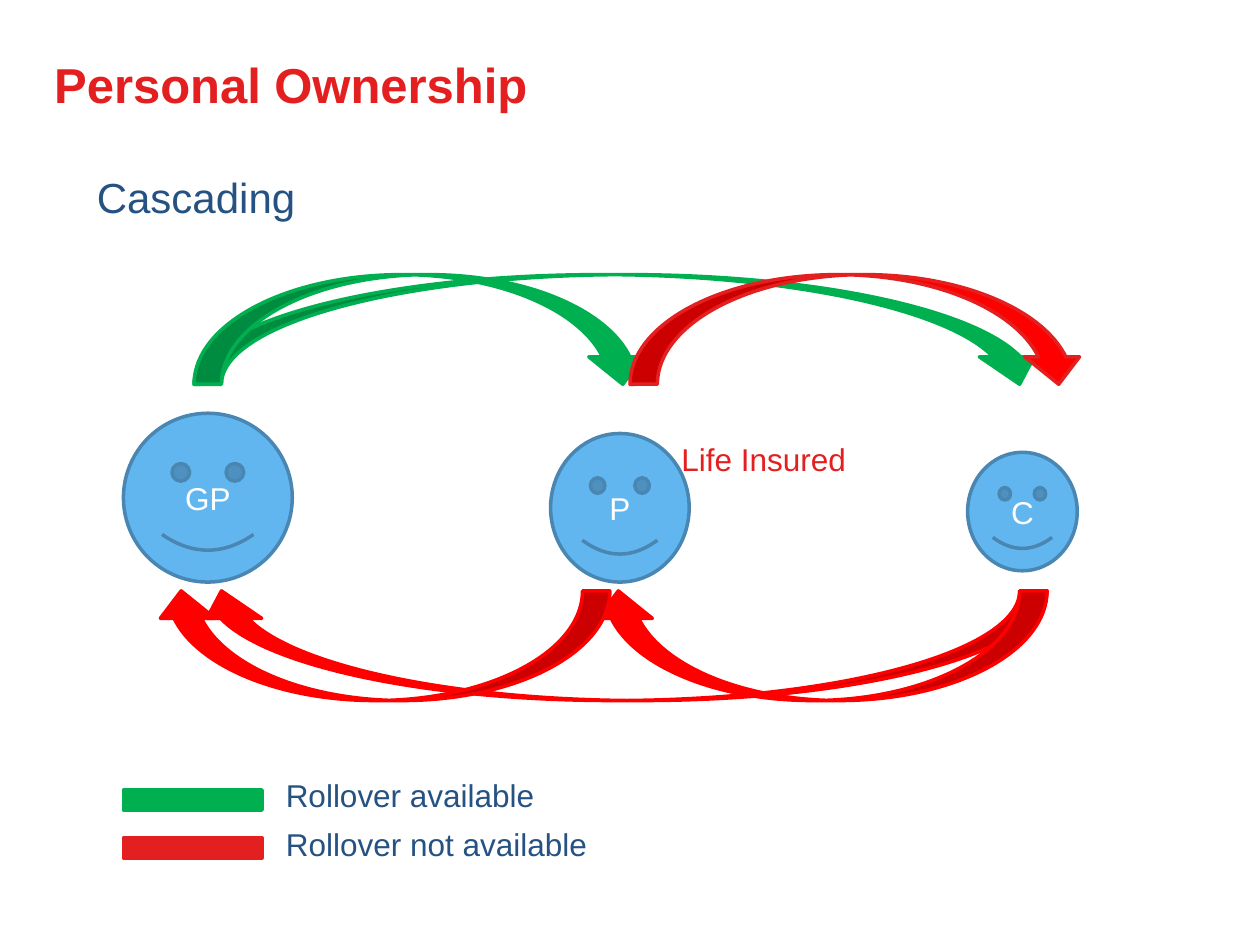
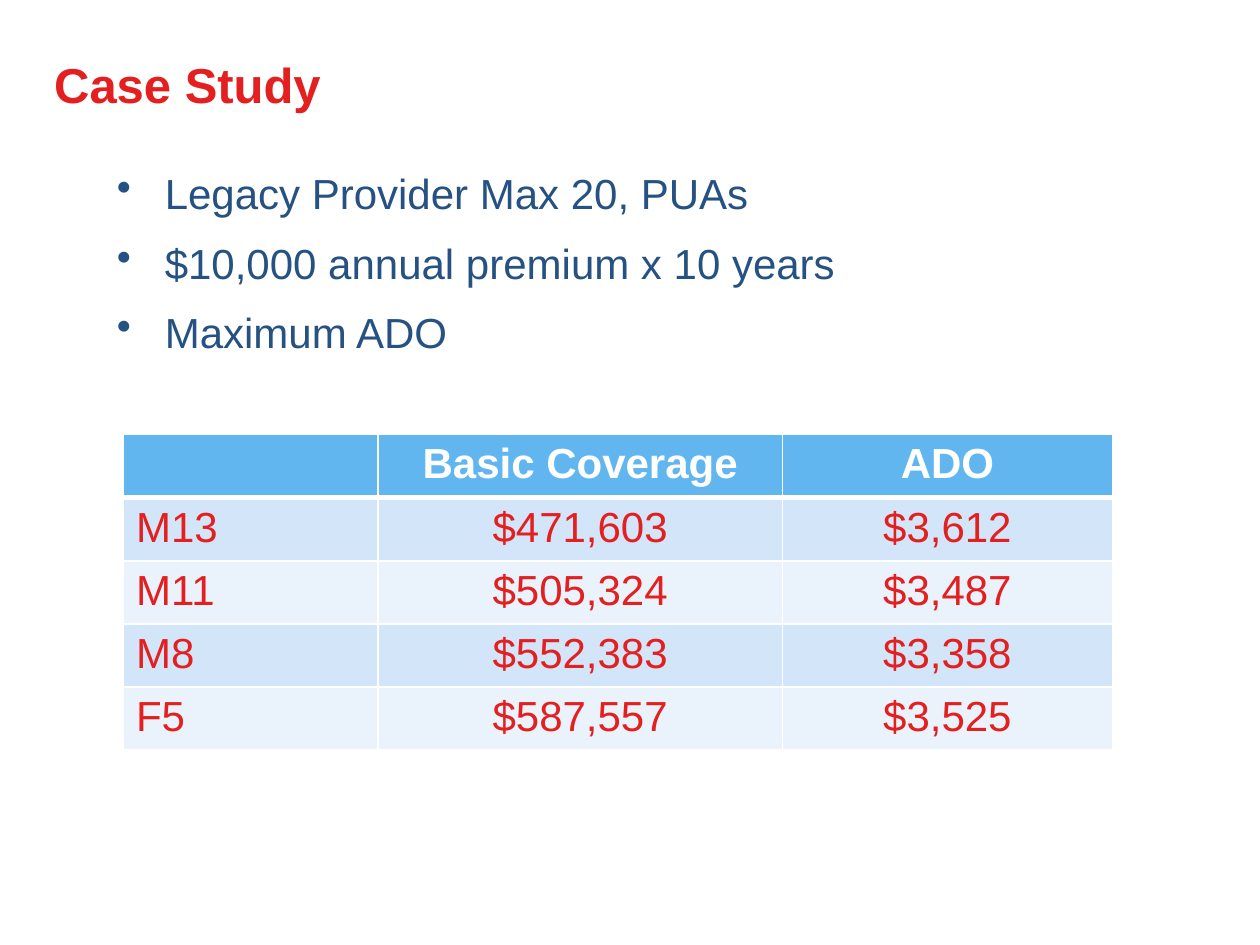
import dataclasses

import pptx
import pptx.dml.color
import pptx.enum.shapes
import pptx.enum.text
import pptx.oxml
import pptx.oxml.ns
import pptx.util

Inches = pptx.util.Inches
Pt = pptx.util.Pt
Shape = pptx.enum.shapes.MSO_SHAPE
Align = pptx.enum.text.PP_ALIGN
Anchor = pptx.enum.text.MSO_ANCHOR
rgb = pptx.dml.color.RGBColor.from_string


@dataclasses.dataclass(frozen=True)
class Theme:
    font: str = "Arial"
    title_size: int = 28
    body_size: int = 24
    label_size: int = 18
    red: str = "E41F1F"
    bright_red: str = "FF0000"
    green: str = "00B050"
    navy: str = "255282"
    sky: str = "62B6F0"
    steel: str = "4987B2"
    white: str = "FFFFFF"
    bands: tuple = ("D3E5F9", "EAF3FC")


theme = Theme()


def write(para, text, size, color, bold=False, align=Align.LEFT):
    para.alignment = align
    span = para.add_run()
    span.text = text
    span.font.color.rgb = rgb(color)
    for name, value in {"name": theme.font, "size": Pt(size), "bold": bold}.items():
        setattr(span.font, name, value)


def add_figure(page, kind, bounds, fill, line):
    figure = page.shapes.add_shape(kind, *map(Inches, bounds))
    figure.shadow.inherit = False
    figure.fill.solid()
    figure.fill.fore_color.rgb = rgb(fill)
    figure.line.color.rgb = rgb(line)
    figure.line.width = Pt(2)
    return figure


deck = pptx.Presentation()
deck.slide_width, deck.slide_height = Inches(10), Inches(7.5)

# Both slides with their titles
pages = []
for heading in ("Personal Ownership", "Case Study"):
    page = deck.slides.add_slide(deck.slide_layouts[5])
    title = page.shapes.title
    bounds = {"left": 0.33, "top": 0.33, "width": 9.17, "height": 0.67}
    for name, value in bounds.items():
        setattr(title, name, Inches(value))
    title.text_frame.vertical_anchor = Anchor.MIDDLE
    write(title.text_frame.paragraphs[0], heading, theme.title_size, theme.red, bold=True)
    pages.append(page)
ownership, case_study = pages

# Transfer arrows: above the faces left to right, below them right to left
ARROW_HEIGHT, LONG, SHORT = 0.87, 6.77, 3.62
UPPER, LOWER = 2.18, 4.69
arrows = [
    (1.54, UPPER, LONG, 0, theme.green, theme.green),
    (1.54, UPPER, SHORT, 0, theme.green, theme.green),
    (5, UPPER, SHORT, 0, theme.bright_red, theme.red),
    (1.54, LOWER, LONG, 180, theme.bright_red, theme.bright_red),
    (4.69, LOWER, SHORT, 180, theme.bright_red, theme.bright_red),
    (1.22, LOWER, SHORT, 180, theme.bright_red, theme.bright_red),
]
for left, top, width, rotation, fill, line in arrows:
    arrow = add_figure(ownership, Shape.CURVED_DOWN_ARROW,
                       (left, top, width, ARROW_HEIGHT), fill, line)
    arrow.rotation = rotation

# Three generations
generations = [
    ("GP", (0.98, 3.28, 1.34, 1.34)),
    ("P", (4.37, 3.44, 1.1, 1.18)),
    ("C", (7.68, 3.59, 0.87, 0.94)),
]
for label, bounds in generations:
    face = add_figure(ownership, Shape.SMILEY_FACE, bounds, theme.sky, theme.steel)
    face.text_frame.vertical_anchor = Anchor.MIDDLE
    write(face.text_frame.paragraphs[0], label, theme.label_size, theme.white,
          align=Align.CENTER)

# Legend swatches
for top, color in ((6.27, theme.green), (6.65, theme.red)):
    add_figure(ownership, Shape.RECTANGLE, (0.98, top, 1.1, 0.16), color, color)

# Subtitle, remark and legend captions
captions = [
    ("Cascading", (0.67, 1.31, 2.44, 0.5), theme.body_size, theme.navy),
    ("Life Insured", (5.31, 3.44, 1.73, 0.4), theme.label_size, theme.red),
    ("Rollover available", (2.17, 6.11, 2.44, 0.4), theme.label_size, theme.navy),
    ("Rollover not available", (2.17, 6.5, 3.39, 0.4), theme.label_size, theme.navy),
]
for text, bounds, size, color in captions:
    box = ownership.shapes.add_textbox(*map(Inches, bounds))
    box.text_frame.word_wrap = True
    write(box.text_frame.paragraphs[0], text, size, color)

# Case facts as bullets
facts = ["Legacy Provider Max 20, PUAs", "$10,000 annual premium x 10 years", "Maximum ADO"]
box = case_study.shapes.add_textbox(Inches(0.83), Inches(1.28), Inches(8.67), Inches(2))
box.text_frame.word_wrap = True
for index, fact in enumerate(facts):
    para = box.text_frame.add_paragraph() if index else box.text_frame.paragraphs[0]
    para.space_before = Pt(11 if index else 0)
    write(para, fact, theme.body_size, theme.navy)
    properties = para._p.get_or_add_pPr()
    properties.set("marL", str(Inches(0.38)))
    properties.set("indent", str(-Inches(0.38)))
    bullet = pptx.oxml.parse_xml(
        f'<a:buChar {pptx.oxml.ns.nsdecls("a")} char="•"/>')
    properties.append(bullet)

# Coverage table
rows = [
    ("", "Basic Coverage", "ADO"),
    ("M13", "$471,603", "$3,612"),
    ("M11", "$505,324", "$3,487"),
    ("M8", "$552,383", "$3,358"),
    ("F5", "$587,557", "$3,525"),
]
widths = (2.02, 3.21, 2.62)
ROW_HEIGHT = 0.47
table = case_study.shapes.add_table(
    len(rows), len(widths), Inches(0.98), Inches(3.45),
    Inches(sum(widths)), Inches(ROW_HEIGHT * len(rows))).table
for column, width in zip(table.columns, widths):
    column.width = Inches(width)
for row_index, row in enumerate(rows):
    table.rows[row_index].height = Inches(ROW_HEIGHT)
    header = row_index == 0
    for column_index, text in enumerate(row):
        cell = table.cell(row_index, column_index)
        if text:
            write(cell.text_frame.paragraphs[0], text, theme.body_size,
                  theme.white if header else theme.red, bold=header,
                  align=Align.CENTER if column_index else Align.LEFT)
        # Borders come before the fill in the cell properties
        edges = {"L": 1, "R": 1, "T": 3 if row_index == 1 else 1, "B": 3 if header else 1}
        for edge, weight in edges.items():
            border = pptx.oxml.parse_xml(
                f'<a:ln{edge} {pptx.oxml.ns.nsdecls("a")} w="{Pt(weight)}"><a:solidFill>'
                f'<a:srgbClr val="{theme.white}"/></a:solidFill></a:ln{edge}>')
            cell._tc.get_or_add_tcPr().append(border)
        cell.fill.solid()
        cell.fill.fore_color.rgb = rgb(
            theme.sky if header else theme.bands[(row_index - 1) % 2])

deck.save("out.pptx")
